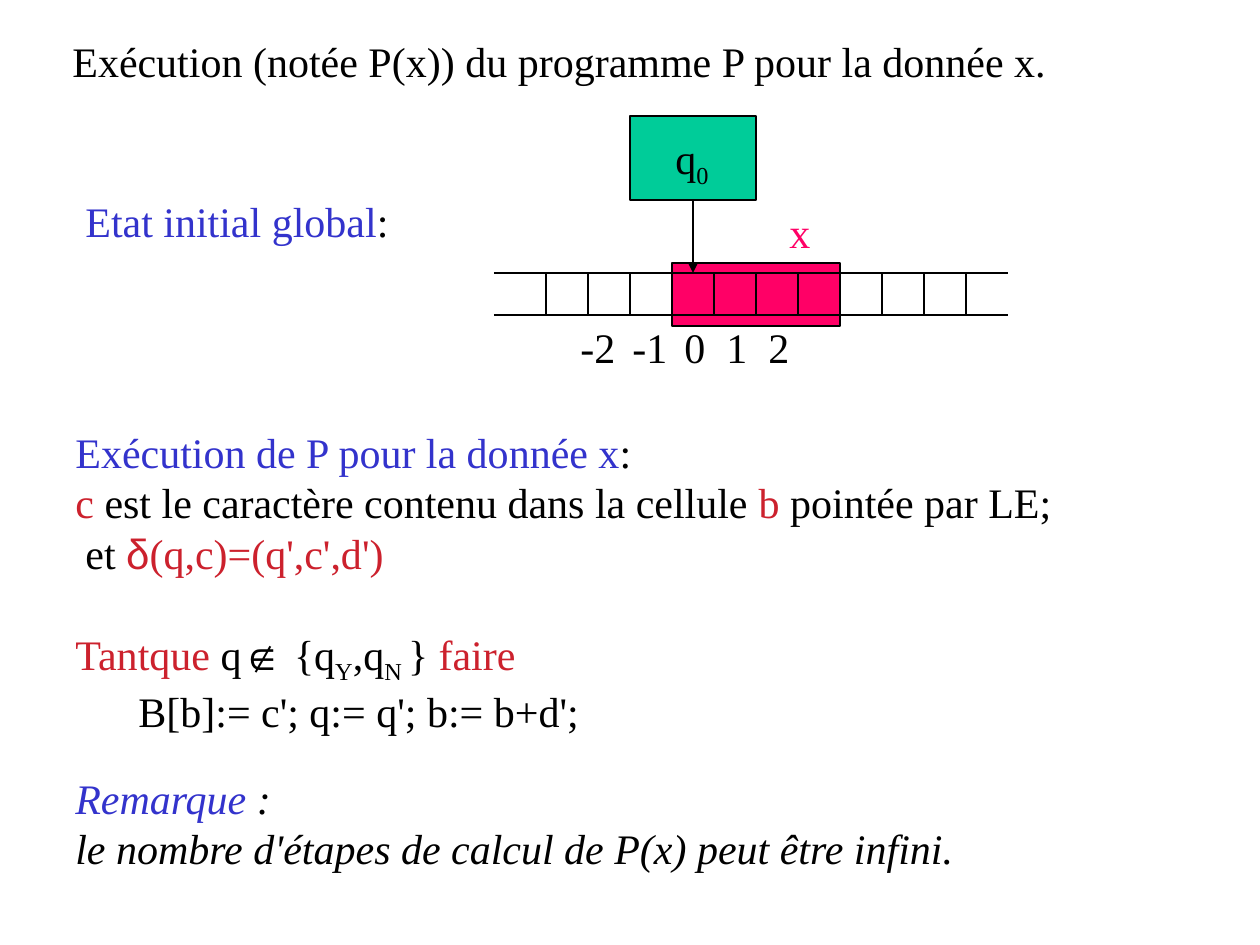
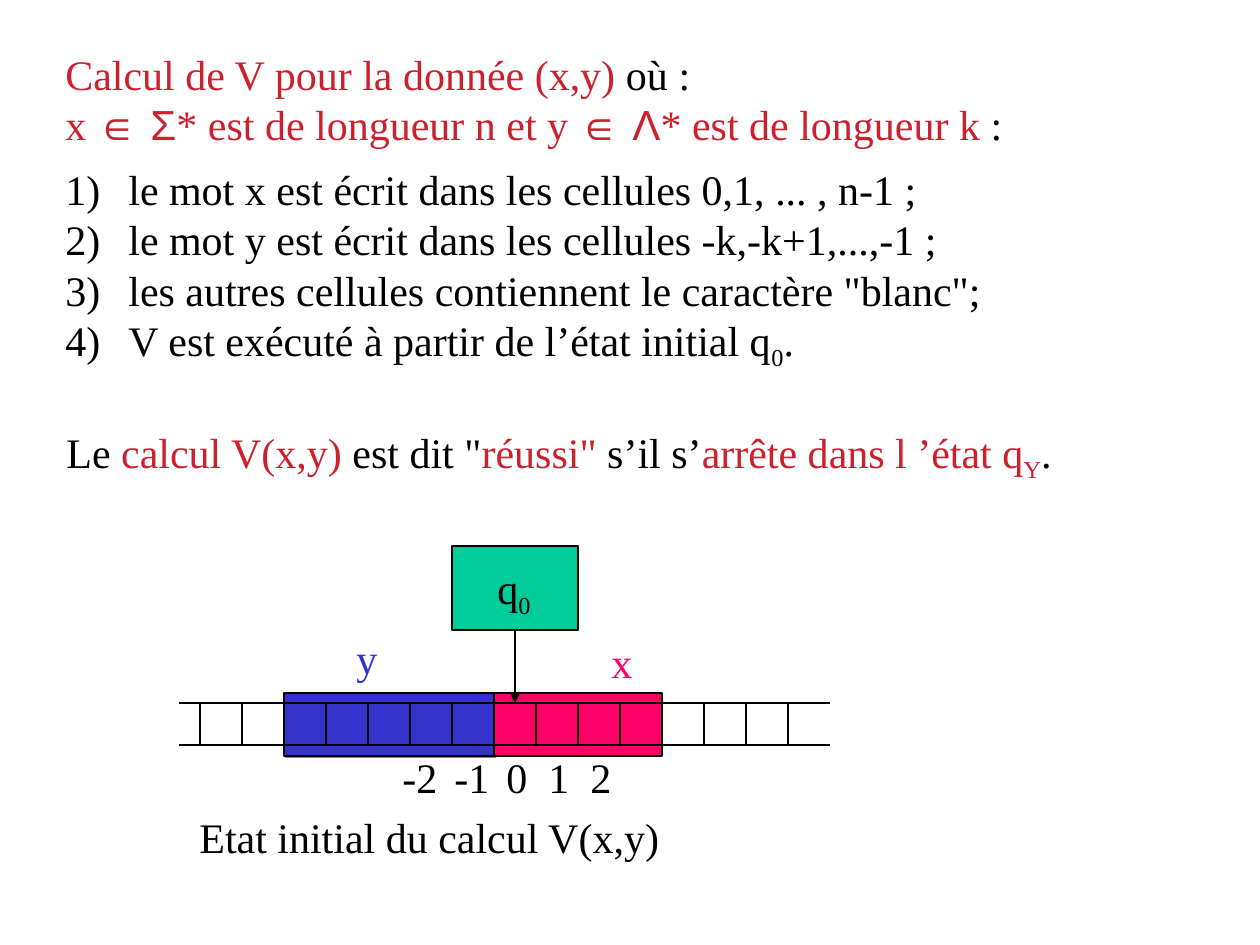
import pptx
import pptx.dml.color
import pptx.enum.shapes
import pptx.enum.text
import pptx.oxml
import pptx.oxml.ns
import pptx.util

RGBColor = pptx.dml.color.RGBColor
BLACK = RGBColor(0x00, 0x00, 0x00)
GREEN = RGBColor(0x00, 0xCC, 0x99)
PINK = RGBColor(0xFF, 0x00, 0x66)
BLUE = RGBColor(0x33, 0x33, 0xCC)
RED = RGBColor(0xCC, 0x21, 0x2D)
SERIF, SANS = "Times New Roman", "Arial"
LINE_PT = 0.75
CELL = 42  # side of one tape cell
DRAWING = pptx.oxml.ns.nsdecls("a")


def px(length):
    return pptx.util.Emu(round(length * 914400 / 126))


def span(text, color=BLACK, font=SERIF, low=False, italic=False):
    """A piece of text with its format."""
    return dict(text=text, color=color, font=font, low=low, italic=italic)


def para(*spans, indent=0, before=0, numbered=False):
    """A paragraph; plain strings take the default format."""
    spans = [span(part) if isinstance(part, str) else part for part in spans]
    return dict(spans=spans, indent=indent, before=before, numbered=numbered)


class Deck:
    def __init__(self):
        self.show = pptx.Presentation()
        self.show.slide_width, self.show.slide_height = px(1260), px(945)
        self.page = None

    def new_page(self):
        self.page = self.show.slides.add_slide(self.show.slide_layouts[6])

    def text(self, left, top, width, height, *paras, wrap=False):
        box = self.page.shapes.add_textbox(px(left), px(top), px(width), px(height))
        frame = box.text_frame
        frame.word_wrap = wrap
        frame.auto_size = pptx.enum.text.MSO_AUTO_SIZE.SHAPE_TO_FIT_TEXT
        for index, content in enumerate(paras):
            paragraph = frame.paragraphs[0] if index == 0 else frame.add_paragraph()
            self.fill_para(paragraph, content)

    def fill_para(self, paragraph, content):
        if content["before"]:
            paragraph.space_before = pptx.util.Pt(content["before"])
        properties = paragraph._p.get_or_add_pPr()
        if content["indent"]:
            properties.set("marL", str(px(content["indent"])))
        if content["numbered"]:
            properties.set("indent", str(-px(content["indent"])))
            properties.append(pptx.oxml.parse_xml(
                f'<a:buAutoNum {DRAWING} type="arabicParenR"/>'))
        for part in content["spans"]:
            run = paragraph.add_run()
            run.text = part["text"]
            run.font.size = pptx.util.Pt(24)
            run.font.name = part["font"]
            run.font.color.rgb = part["color"]
            if part["italic"]:
                run.font.italic = True
            if part["low"]:
                run.font._element.set("baseline", "-25000")

    def rectangle(self, left, top, width, height, color, shadow=False):
        kind = pptx.enum.shapes.MSO_SHAPE.RECTANGLE
        shape = self.page.shapes.add_shape(kind, px(left), px(top), px(width), px(height))
        shape.fill.solid()
        shape.fill.fore_color.rgb = color
        shape.line.color.rgb = BLACK
        shape.line.width = pptx.util.Pt(LINE_PT)
        shape.shadow.inherit = False
        if shadow:
            effects = shape._element.spPr.find(pptx.oxml.ns.qn("a:effectLst"))
            effects.append(pptx.oxml.parse_xml(
                f'<a:outerShdw {DRAWING} dist="17960" dir="2700000" algn="ctr" '
                'rotWithShape="0"><a:srgbClr val="808080"/></a:outerShdw>'))
        return shape

    def line(self, x1, y1, x2, y2, start=None, arrow=False):
        kind = pptx.enum.shapes.MSO_CONNECTOR.STRAIGHT
        connector = self.page.shapes.add_connector(kind, px(x1), px(y1), px(x2), px(y2))
        connector.line.color.rgb = BLACK
        connector.line.width = pptx.util.Pt(LINE_PT)
        if start is not None:
            connector.begin_connect(start, 2)
        if arrow:
            connector.line._get_or_add_ln().append(pptx.oxml.parse_xml(
                f'<a:tailEnd {DRAWING} type="triangle"/>'))
        connector._element.spPr.append(pptx.oxml.parse_xml(f"<a:effectLst {DRAWING}/>"))

    def machine(self, zero, top, rail_left, first_cell, y_cells=0):
        """Control unit above a tape; zero is the left edge of cell 0."""
        tape, word = top + 157, top + 147
        # Words on the tape, and the control unit
        if y_cells:
            self.rectangle(zero - y_cells * CELL, word, y_cells * CELL, 63, BLUE, shadow=True)
            self.text(zero - 150, top + 80, 45, 63, para(span("y", BLUE)))
        self.rectangle(zero, word, 4 * CELL, 63, PINK)
        self.text(zero + 105, top + 84, 45, 63, para(span("x", PINK)))
        unit = self.rectangle(zero - CELL, top, 3 * CELL, 84, GREEN)
        self.text(zero - 9, top + 10, 58, 70, para("q", span("0", low=True)))
        # Rails, cell borders and cell numbers
        for y in (tape, tape + CELL):
            self.line(rail_left, y, zero + 8 * CELL, y)
        for cell in range(first_cell, 8):
            x = zero + cell * CELL
            self.line(x, tape, x, tape + CELL)
        for number in range(-2, 3):
            step, width = (52, 60) if number < 0 else (CELL, 45)
            self.text(zero + number * step, tape + CELL, width, 63, para(str(number)))
        # Read head
        middle = zero + CELL // 2
        self.line(middle, top + 84, middle, tape, start=unit, arrow=True)


def execution_page(deck):
    deck.new_page()
    deck.text(60, 29, 1011, 63,
              para("Exécution (notée P(x)) du programme P pour la donnée x."))
    deck.text(73, 189, 329, 63, para(span("Etat initial global", BLUE), ":"))
    # Algorithm
    deck.text(
        63, 420, 1166, 323,
        para(span("Exécution de P pour la donnée x", BLUE), ":"),
        para(span("c", RED), " est le caractère contenu dans la cellule ",
             span("b", RED), " pointée par LE;"),
        para("et ", span("δ", RED, SANS), span("(q,c)=(q',c',d')", RED), indent=10),
        para(span("Tantque ", RED), "q", span("∉", font=SANS), " {q",
             span("Y", low=True), ",q", span("N ", low=True), "}",
             span(" faire", RED), before=29),
        para("B[b]:= c'; q:= q'; b:= b+d';", indent=63),
        wrap=True)
    deck.text(
        63, 766, 906, 113,
        para(span("Remarque ", BLUE, italic=True), span(":", italic=True)),
        para(span("le nombre d'étapes de calcul de P(x) peut être infini.", italic=True)))
    deck.machine(zero=672, top=116, rail_left=494, first_cell=-3)


def computation_page(deck):
    deck.new_page()
    deck.text(
        53, 42, 1008, 113,
        para(span("Calcul de V pour la donnée (x,y) ", RED), "où :"),
        para(span("x ", RED), span("∈ Σ", RED, SANS),
             span("* est de longueur n et y ", RED), span("∈ Λ", RED, SANS),
             span("* est de longueur k ", RED), ":"),
        wrap=True)
    # Numbered steps
    steps = [
        ["le mot x est écrit dans les cellules 0,1, ... , n-1 ;"],
        ["le mot y est écrit dans les cellules -k,-k+1,...,-1 ;"],
        ['les autres cellules contiennent le caractère "blanc";'],
        ["V est exécuté à partir de l’état initial q", span("0", low=True), "."],
    ]
    deck.text(53, 157, 941, 222,
              *(para(*step, indent=63, numbered=True) for step in steps))
    # Success condition
    deck.text(
        54, 420, 1011, 70,
        para("Le ", span("calcul V(x,y)", RED), ' est dit "', span('réussi"', RED),
             " s’il s’", span("arrête dans l ’état q", RED),
             span("Y", RED, low=True), "."))
    deck.machine(zero=494, top=546, rail_left=179, first_cell=-7, y_cells=5)
    deck.text(187, 805, 485, 63, para("Etat initial du calcul V(x,y)"))


def main():
    deck = Deck()
    execution_page(deck)
    computation_page(deck)
    deck.show.save("out.pptx")


if __name__ == "__main__":
    main()
